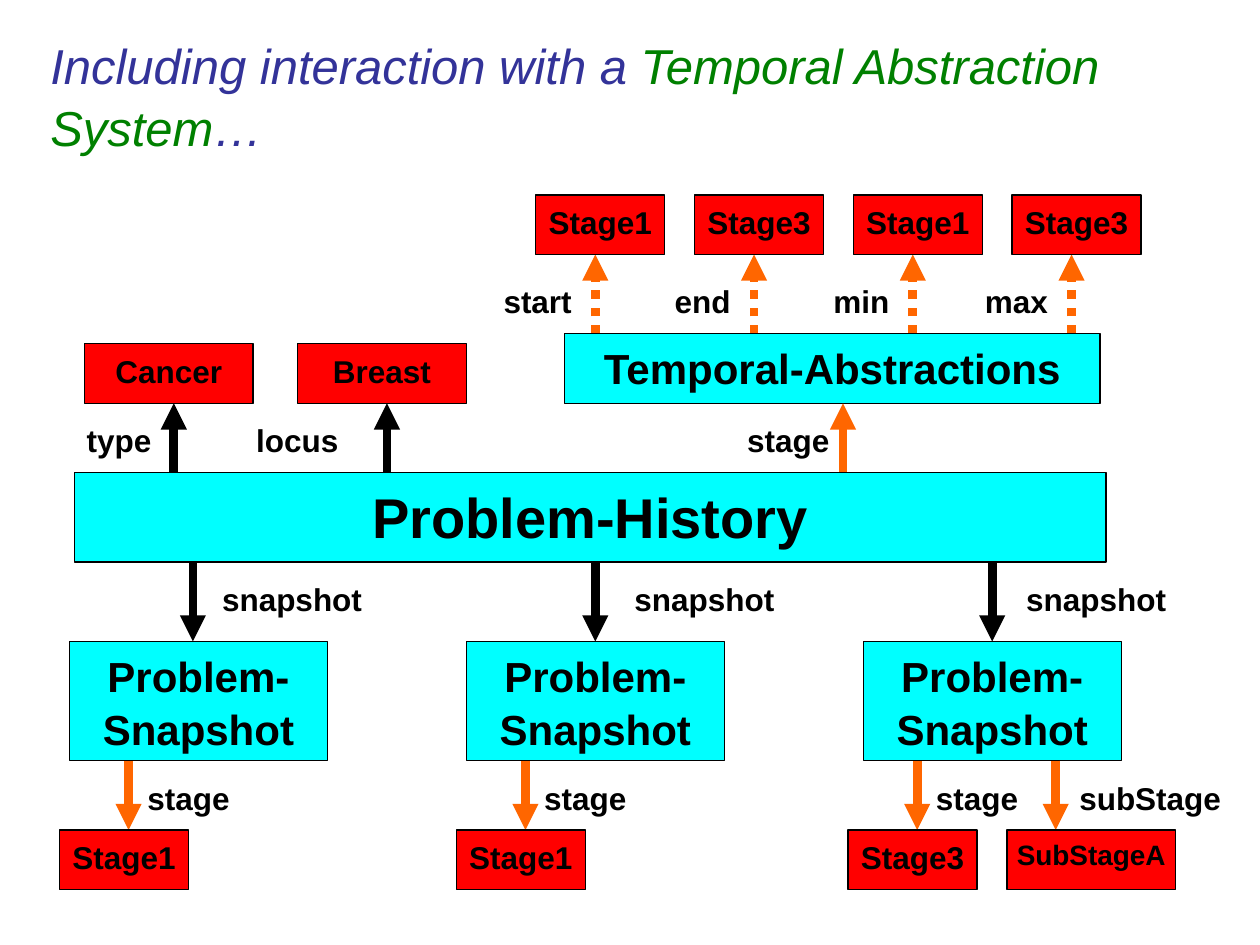
"""Build the Problem-History diagram with its temporal abstractions."""
from dataclasses import dataclass

from lxml import etree
from pptx import Presentation
from pptx.dml.color import RGBColor
from pptx.enum.dml import MSO_LINE
from pptx.enum.shapes import MSO_CONNECTOR, MSO_SHAPE
from pptx.enum.text import MSO_ANCHOR, MSO_AUTO_SIZE, PP_ALIGN
from pptx.oxml.ns import qn
from pptx.util import Inches, Pt

LEFT, CENTER, RIGHT = PP_ALIGN.LEFT, PP_ALIGN.CENTER, PP_ALIGN.RIGHT
TOP = MSO_ANCHOR.TOP
NO_AUTOFIT = MSO_AUTO_SIZE.NONE
DOTTED = MSO_LINE.ROUND_DOT
RECTANGLE = MSO_SHAPE.RECTANGLE
STRAIGHT = MSO_CONNECTOR.STRAIGHT
TITLE_ONLY = 5


@dataclass(frozen=True)
class Theme:
    """Colours, type sizes and line weights."""
    font: str = "Arial"
    ink: str = "000000"
    concept: str = "00FFFF"
    value: str = "FF0000"
    abstraction: str = "FF6600"
    title: str = "333399"
    title_accent: str = "008000"
    title_size: int = 28
    history_size: int = 32
    concept_size: int = 24
    text_size: int = 18
    small_size: int = 16
    outline: float = 0.75
    arrow: float = 5
    line_spacing: float = 1.05


@dataclass(frozen=True)
class Grid:
    """Square cells of 0.315 inches below a small top margin."""
    cell: float = 0.315
    top: float = 0.13

    def size(self, cells):
        """Return the length of a number of cells."""
        return Inches(self.cell * cells)

    def y(self, row):
        """Return the position of a row."""
        return Inches(self.top + self.cell * row)

    def frame(self, column, row, columns, rows):
        """Return left, top, width and height."""
        return self.size(column), self.y(row), self.size(columns), self.size(rows)


THEME = Theme()
GRID = Grid()
VALUE_WIDTH, WIDE_VALUE, VALUE_HEIGHT = 3.25, 4.25, 1.5
ABSTRACTION_ROW, HISTORY_ROW, HISTORY_END = 8, 11.5, 13.75
SNAPSHOT_ROW, SNAPSHOT_END, STAGE_ROW = 15.75, 18.75, 20.5


def color(value):
    """Turn a hexadecimal string into a colour."""
    return RGBColor.from_string(value)


def write(shape, runs, size, align, side=0.05, bold=True, italic=False):
    """Fill a shape with one paragraph of (text, colour) runs."""
    frame = shape.text_frame
    frame.word_wrap = True
    frame.auto_size = NO_AUTOFIT
    frame.vertical_anchor = TOP
    frame.margin_left = frame.margin_right = Inches(side)
    frame.margin_top = frame.margin_bottom = Inches(0.05)
    paragraph = frame.paragraphs[0]
    paragraph.alignment = align
    paragraph.line_spacing = THEME.line_spacing
    for text, ink in runs:
        run = paragraph.add_run()
        run.text = text
        run.font.name = THEME.font
        run.font.size = Pt(size)
        run.font.bold = bold
        run.font.italic = italic
        run.font.color.rgb = color(ink)


def add_title(slide):
    """Place the two-coloured title in its placeholder."""
    title = slide.shapes.title
    title.left, title.top, title.width, title.height = GRID.frame(1.11, 0.25, 27, 3.25)
    runs = [("Including interaction with a ", THEME.title),
            ("Temporal Abstraction System", THEME.title_accent),
            ("…", THEME.title)]
    write(title, runs, THEME.title_size, LEFT, bold=False, italic=True)


def add_box(slide, text, frame, fill, size):
    """Add an outlined rectangle with centred text."""
    box = slide.shapes.add_shape(RECTANGLE, *GRID.frame(*frame))
    box.shadow.inherit = False
    box.fill.solid()
    box.fill.fore_color.rgb = color(fill)
    box.line.color.rgb = color(THEME.ink)
    box.line.width = Pt(THEME.outline)
    write(box, [(text, THEME.ink)], size, CENTER)


def add_concept(slide, text, frame, size=THEME.concept_size):
    """Add a box for a concept."""
    add_box(slide, text, frame, THEME.concept, size)


def add_value(slide, text, column, row, width=VALUE_WIDTH, size=THEME.text_size):
    """Add a box for a value."""
    add_box(slide, text, (column, row, width, VALUE_HEIGHT), THEME.value, size)


def add_label(slide, text, column, row, width, align=CENTER):
    """Add the name of a relation."""
    label = slide.shapes.add_textbox(*GRID.frame(column, row, width, 1.27))
    write(label, [(text, THEME.ink)], THEME.text_size, align, side=0.1)


def add_arrow(slide, column, start, end, ink, dash=None):
    """Add a vertical arrow between two rows."""
    x = GRID.size(column)
    arrow = slide.shapes.add_connector(STRAIGHT, x, GRID.y(start), x, GRID.y(end))
    arrow.line.color.rgb = color(ink)
    arrow.line.width = Pt(THEME.arrow)
    if dash:
        arrow.line.dash_style = dash
    properties = arrow.line._get_or_add_ln()
    etree.SubElement(properties, qn("a:tailEnd"), type="triangle")
    etree.SubElement(properties.getparent(), qn("a:effectLst"))


def add_abstractions(slide):
    """Add the temporal abstractions and their four values."""
    relations = [("start", "Stage1"), ("end", "Stage3"),
                 ("min", "Stage1"), ("max", "Stage3")]
    for index, (relation, value) in enumerate(relations):
        column = 15 + 4 * index
        add_label(slide, relation, column - 2.78, 6.5, 2.5, RIGHT)
        add_arrow(slide, column, ABSTRACTION_ROW, 6, THEME.abstraction, DOTTED)
        add_value(slide, value, column - 1.5, 4.5)
    add_concept(slide, "Temporal-Abstractions", (14.22, ABSTRACTION_ROW, 13.5, 1.75))


def add_history(slide):
    """Add the problem history and the relations above it."""
    relations = [("type", 1.62, 2.76, 4.38, THEME.ink),
                 ("locus", 6, 2.98, 9.75, THEME.ink),
                 ("stage", 18.48, 2.76, 21.24, THEME.abstraction)]
    for relation, left, width, column, ink in relations:
        add_label(slide, relation, left, 10, width)
        add_arrow(slide, column, HISTORY_ROW, 9.75, ink)
    for value, left in [("Cancer", 2.13), ("Breast", 7.5)]:
        add_value(slide, value, left, 8.25, WIDE_VALUE)
    add_concept(slide, "Problem-History", (1.87, HISTORY_ROW, 26, 2.25), THEME.history_size)


def add_snapshots(slide):
    """Add the three snapshots with their stages."""
    snapshots = [(4.86, 4.98, 3.24, "Stage1"),
                 (15, 15.37, 13.24, "Stage1"),
                 (25, 25.24, 23.11, "Stage3")]
    for index, (link, label, stage, value) in enumerate(snapshots):
        add_label(slide, "snapshot", label, 14, 4.76)
        add_arrow(slide, link, HISTORY_END, SNAPSHOT_ROW, THEME.ink)
        add_label(slide, "stage", stage + 0.13, 19, 2.76)
        add_arrow(slide, stage, SNAPSHOT_END, STAGE_ROW, THEME.abstraction)
        add_concept(slide, "Problem-Snapshot", (1.75 + 10 * index, SNAPSHOT_ROW, 6.5, 3))
        add_value(slide, value, stage - 1.74, STAGE_ROW)
    add_label(slide, "subStage", 26.73, 19, 4.5)
    add_arrow(slide, 26.6, SNAPSHOT_END, STAGE_ROW, THEME.abstraction)
    add_value(slide, "SubStageA", 25.37, STAGE_ROW, WIDE_VALUE, THEME.small_size)


def main():
    """Build and save the presentation."""
    presentation = Presentation()
    presentation.slide_width = Inches(10)
    presentation.slide_height = Inches(7.5)
    slide = presentation.slides.add_slide(presentation.slide_layouts[TITLE_ONLY])
    add_title(slide)
    add_abstractions(slide)
    add_history(slide)
    add_snapshots(slide)
    presentation.save("out.pptx")


if __name__ == "__main__":
    main()
